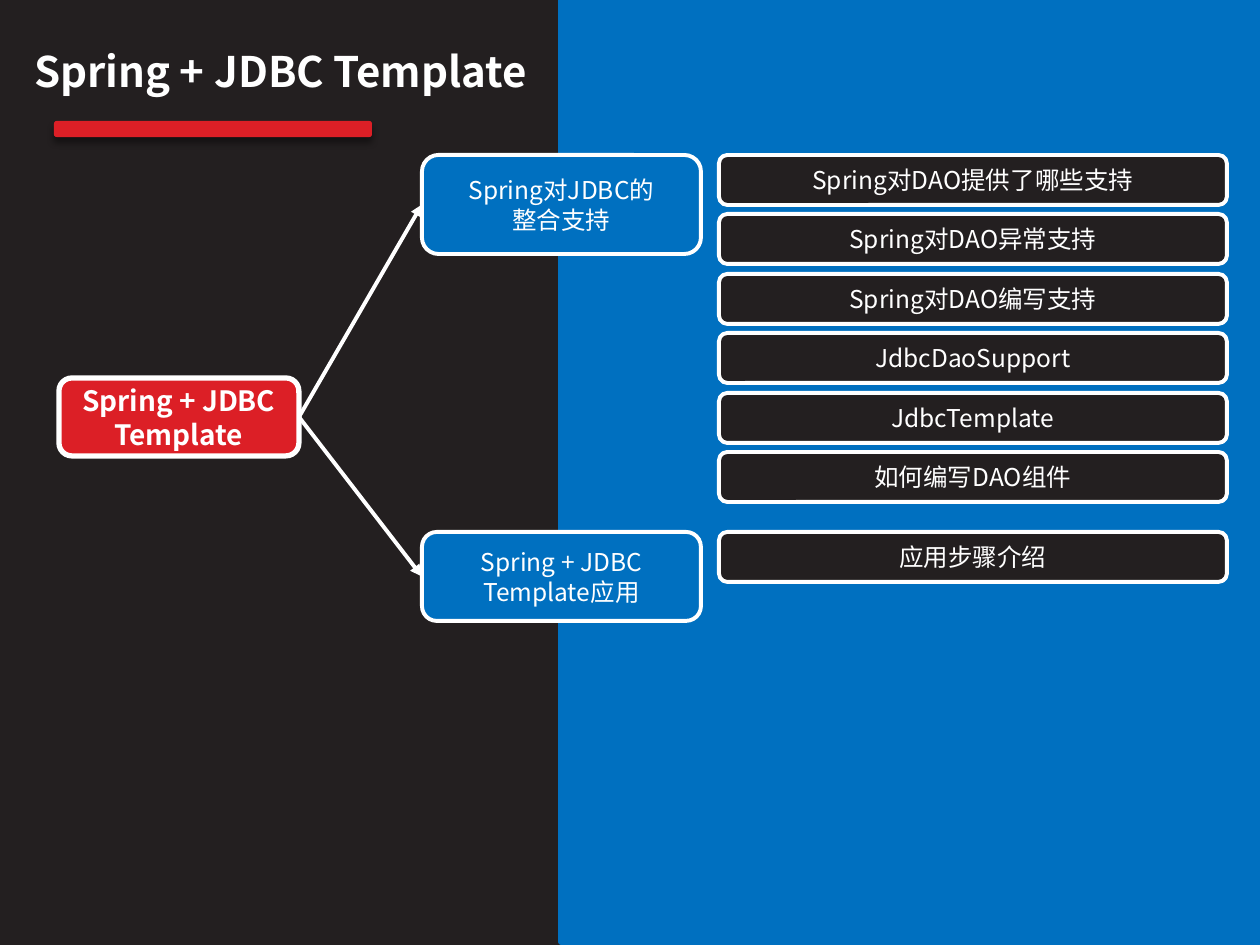
from dataclasses import dataclass

from lxml.etree import SubElement
from pptx import Presentation
from pptx.dml.color import RGBColor as RGB
from pptx.enum.shapes import MSO_CONNECTOR as CONN, MSO_SHAPE as SHAPE
from pptx.enum.text import MSO_ANCHOR as ANCHOR, MSO_AUTO_SIZE as AUTO, PP_ALIGN as ALIGN
from pptx.oxml.ns import qn
from pptx.util import Pt

PX = 914400 // 126  # EMU per px


@dataclass(frozen=True)
class Theme:
    font: str = "Noto Sans CJK SC"
    dark: RGB = RGB(0x23, 0x1F, 0x20)
    blue: RGB = RGB(0x00, 0x70, 0xC0)
    red: RGB = RGB(0xDC, 0x1F, 0x26)
    white: RGB = RGB(0xFF, 0xFF, 0xFF)
    title: int = 24
    root: int = 16
    node: int = 14
    leading: float = 1.22


T = Theme()


def add_box(kind, box, fill, line=None, width=2.25):
    sp = s.shapes.add_shape(kind, *(v * PX for v in box))
    sp.shadow.inherit = False
    sp.fill.solid()
    sp.fill.fore_color.rgb = fill
    if line is None:
        sp.line.fill.background()
    else:
        sp.line.color.rgb = line
        sp.line.width = Pt(width)
    return sp


def set_text(sp, text, size, bold=False, anchor=ANCHOR.MIDDLE):
    tf = sp.text_frame
    tf.text = text
    tf.word_wrap = True
    tf.auto_size = AUTO.NONE
    tf.vertical_anchor = anchor
    for p in tf.paragraphs:
        p.alignment = ALIGN.CENTER
        p.line_spacing = Pt(round(size * T.leading, 1))
        for r in p.runs:
            r.font.name = T.font
            r.font.size = Pt(size)
            r.font.bold = bold
            r.font.color.rgb = T.white
            SubElement(r.font._element, qn("a:ea"), typeface=T.font)


prs = Presentation()
prs.slide_width, prs.slide_height = 1260 * PX, 945 * PX
s = prs.slides.add_slide(prs.slide_layouts[5])

# Background and right panel
s.background.fill.solid()
s.background.fill.fore_color.rgb = T.dark
add_box(SHAPE.RECTANGLE, (561, 0, 699, 942), T.blue, T.blue, 3)

# Title with its underline bar
title = s.shapes.title
title.left, title.top, title.width, title.height = (v * PX for v in (0, 38, 561, 89))
set_text(title, "Spring + JDBC Template", T.title, True, ANCHOR.TOP)
bar = add_box(SHAPE.ROUNDED_RECTANGLE, (54, 121, 318, 16), T.red)
effects = bar._element.spPr.find(qn("a:effectLst"))
shadow = SubElement(effects, qn("a:outerShdw"), blurRad=str(Pt(4)), dist=str(Pt(3)),
                    dir="5400000", rotWithShape="0")
color = SubElement(shadow, qn("a:srgbClr"), val="000000")
SubElement(color, qn("a:alpha"), val="43000")

# Root topic
root = add_box(SHAPE.ROUNDED_RECTANGLE, (59, 378, 240, 78), T.red, T.white, 3)
set_text(root, "Spring + JDBC Template", T.root, True)

# Branches: label, top, height, leaves
branches = [
    ("Spring对JDBC的\n整合支持", 155, 99, [
        "Spring对DAO提供了哪些支持",
        "Spring对DAO异常支持",
        "Spring对DAO编写支持",
        "JdbcDaoSupport",
        "JdbcTemplate",
        "如何编写DAO组件",
    ]),
    ("Spring + JDBC Template应用", 532, 89, ["应用步骤介绍"]),
]
for label, top, height, leaves in branches:
    branch = add_box(SHAPE.ROUNDED_RECTANGLE, (422, top, 279, height), T.blue, T.white)
    set_text(branch, label, T.node)

    # Leaves, two of them every 119 px
    for i, leaf in enumerate(leaves):
        sp = add_box(SHAPE.ROUNDED_RECTANGLE, (719, top + i * 119 // 2, 508, 50),
                     T.dark, T.white)
        set_text(sp, leaf, T.node)

    # Arrow from the root
    arrow = s.shapes.add_connector(CONN.STRAIGHT, 0, 0, 0, 0)
    arrow.begin_connect(root, 3)
    arrow.end_connect(branch, 1)
    arrow.line.color.rgb = T.white
    arrow.line.width = Pt(2.25)
    SubElement(arrow.line._get_or_add_ln(), qn("a:tailEnd"), type="triangle")
    SubElement(arrow._element.spPr, qn("a:effectLst"))

prs.save("out.pptx")
